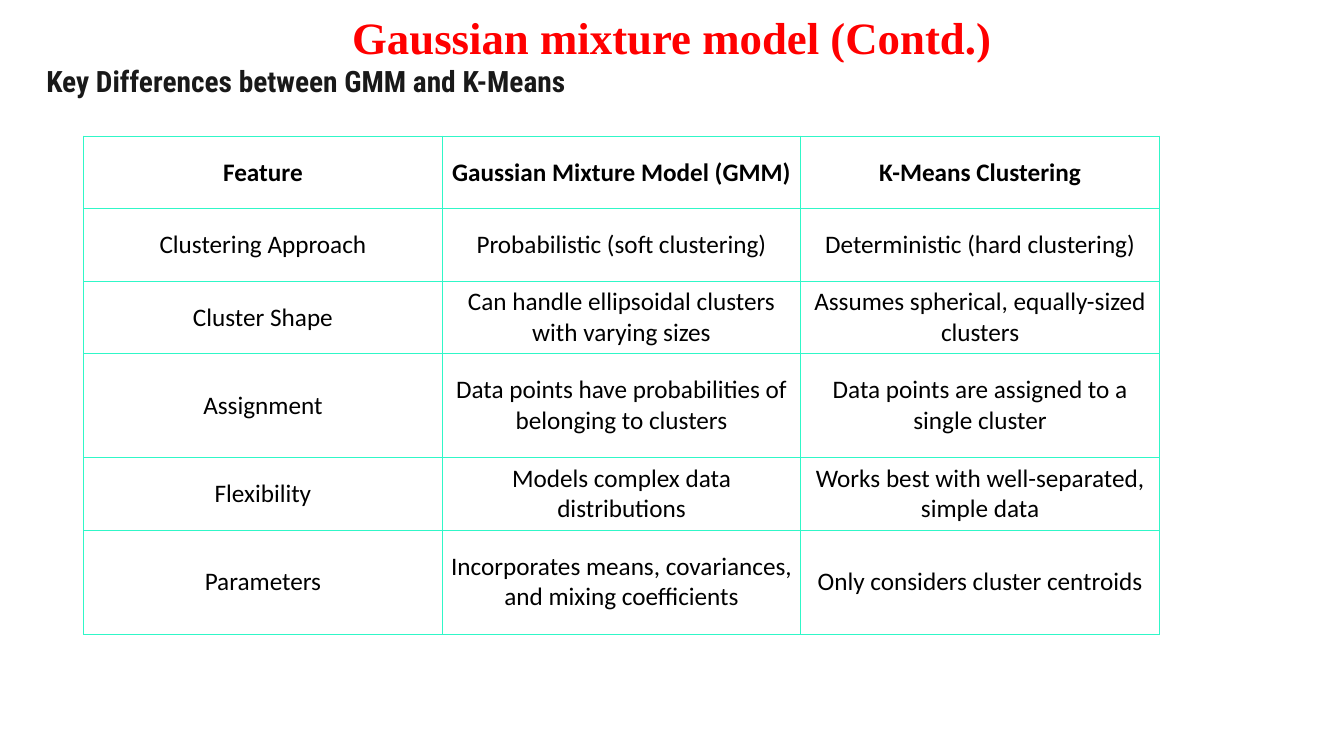
from lxml.etree import SubElement
from pptx import Presentation
from pptx.dml.color import RGBColor
from pptx.enum.shapes import MSO_SHAPE
from pptx.enum.text import MSO_ANCHOR as ANCHOR, PP_ALIGN as ALIGN
from pptx.oxml.ns import qn
from pptx.util import Inches, Pt

ROWS = [
    ("Feature", "Gaussian Mixture Model (GMM)", "K-Means Clustering"),
    ("Clustering Approach", "Probabilistic (soft clustering)",
     "Deterministic (hard clustering)"),
    ("Cluster Shape", "Can handle ellipsoidal clusters with varying sizes",
     "Assumes spherical, equally-sized clusters"),
    ("Assignment", "Data points have probabilities of belonging to clusters",
     "Data points are assigned to a single cluster"),
    ("Flexibility", "Models complex data distributions",
     "Works best with well-separated, simple data"),
    ("Parameters", "Incorporates means, covariances, and mixing coefficients",
     "Only considers cluster centroids"),
]
ROW_HEIGHTS = [0.72, 0.72, 0.72, 1.03, 0.72, 1.03]
BORDER = "30F7C8"


def color(value):
    return RGBColor.from_string(value)


def place(s, x, y, w, h):
    s.left, s.top, s.width, s.height = (Inches(v) for v in (x, y, w, h))


def write(p, text, size, font, fill, bold, align):
    p.alignment = align
    r = p.add_run()
    r.text = text
    r.font.size = Pt(size)
    r.font.name = font
    r.font.bold = bold
    r.font.color.rgb = color(fill)


def add_title(slide, x, y, w, h):
    s = slide.shapes.title
    place(s, x, y, w, h)
    tf = s.text_frame
    tf.vertical_anchor = ANCHOR.MIDDLE
    p = tf.paragraphs[0]
    p.line_spacing = 0.9
    write(p, "Gaussian mixture model (Contd.)", 32, "Times New Roman",
          "FF0000", True, ALIGN.CENTER)


def add_subtitle(slide, x, y, w, h):
    s = slide.shapes.add_shape(MSO_SHAPE.RECTANGLE, 0, 0, 0, 0)
    place(s, x, y, w, h)
    s.shadow.inherit = False
    s.fill.solid()
    s.fill.fore_color.rgb = color("FFFFFF")
    s.line.fill.background()
    tf = s.text_frame
    tf.word_wrap = True
    tf.vertical_anchor = ANCHOR.MIDDLE
    tf.margin_left = tf.margin_top = tf.margin_right = tf.margin_bottom = 0
    write(tf.paragraphs[0], "Key Differences between GMM and K-Means", 21,
          "Roboto Condensed", "191919", True, ALIGN.LEFT)


def set_borders(cell):
    pr = cell._tc.get_or_add_tcPr()
    for i, side in enumerate(("lnL", "lnR", "lnT", "lnB")):
        ln = pr.makeelement(qn(f"a:{side}"), {"w": str(Pt(0.6))})
        pr.insert(i, ln)
        fill = SubElement(ln, qn("a:solidFill"))
        SubElement(fill, qn("a:srgbClr"), val=BORDER)


def add_comparison(slide, x, y, w, h):
    columns = len(ROWS[0])
    table = slide.shapes.add_table(
        len(ROWS), columns, Inches(x), Inches(y), Inches(w), Inches(h)).table
    table.first_row = table.horz_banding = False
    for column in table.columns:
        column.width = Inches(w / columns)
    for row, height in zip(table.rows, ROW_HEIGHTS):
        row.height = Inches(height)
    for i, texts in enumerate(ROWS):
        for j, text in enumerate(texts):
            cell = table.cell(i, j)
            cell.fill.background()
            cell.vertical_anchor = ANCHOR.MIDDLE
            cell.margin_left = cell.margin_right = Inches(0.08)
            set_borders(cell)
            write(cell.text_frame.paragraphs[0], text, 18, "Calibri",
                  "000000", i == 0, ALIGN.CENTER)


def main():
    prs = Presentation()
    prs.slide_width, prs.slide_height = Inches(13.33), Inches(7.5)
    slide = prs.slides.add_slide(prs.slide_layouts[5])
    add_title(slide, 0, 0.2, 13.33, 0.4)
    add_comparison(slide, 0.83, 1.35, 10.67, sum(ROW_HEIGHTS))
    add_subtitle(slide, 0.46, 0.62, 12.87, 0.36)
    prs.save("out.pptx")


if __name__ == "__main__":
    main()
